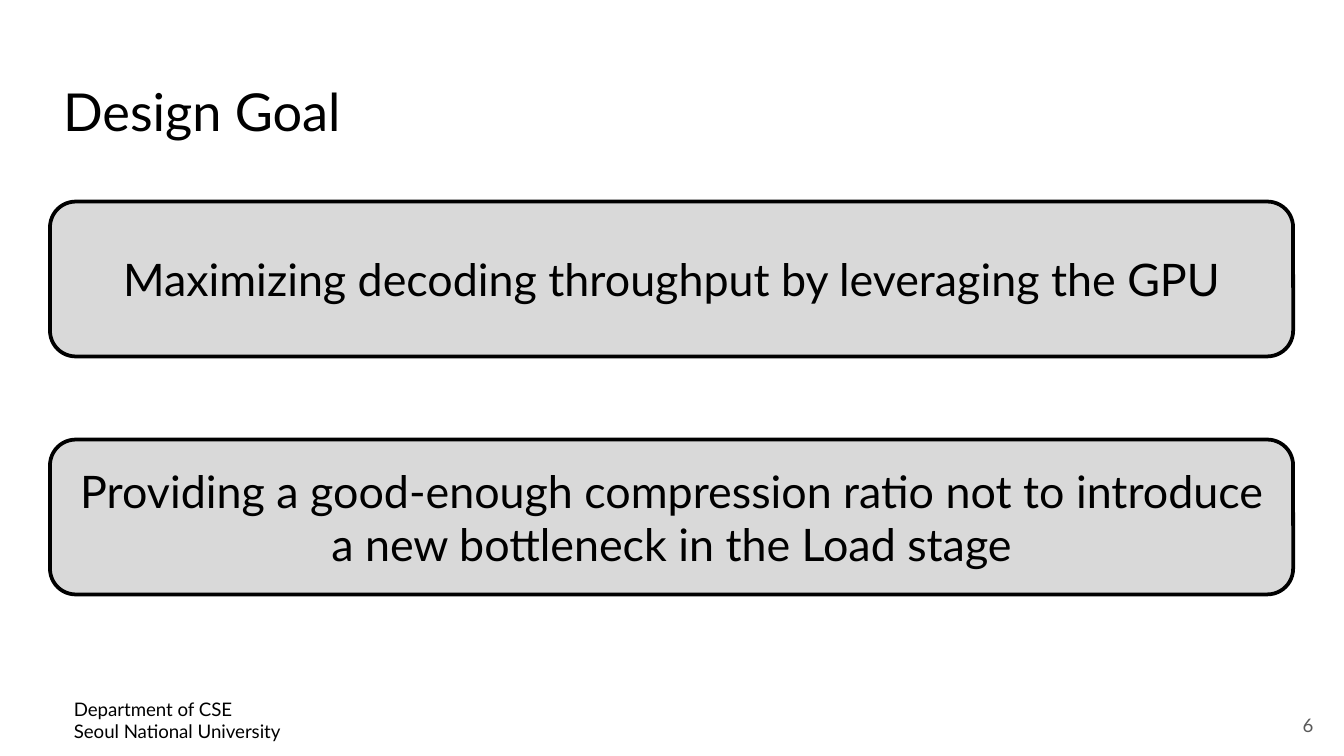
from pptx import Presentation
from pptx.dml.color import RGBColor
from pptx.enum.shapes import MSO_SHAPE
from pptx.enum.text import MSO_ANCHOR, PP_ALIGN
from pptx.util import Pt

BLACK = RGBColor(0x00, 0x00, 0x00)
DARK_GRAY = RGBColor(0x59, 0x59, 0x59)
LIGHT_GRAY = RGBColor(0xD9, 0xD9, 0xD9)

MARGIN = 26.75
CONTENT_WIDTH = 666
GOAL_TOP = 108
GOAL_HEIGHT = 83
GOAL_STEP = 127.5

GOALS = [
    "Maximizing decoding throughput by leveraging the GPU",
    "Providing a good-enough compression ratio not to introduce "
    "a new bottleneck in the Load stage",
]


class SlideBuilder:
    """Holds the text style and the slide being filled."""

    font_name = "Lato"

    def __init__(self, slide):
        self.slide = slide

    def fill_text(self, frame, lines, size, color, align, anchor, inset):
        """Fill a text frame with one paragraph per line."""
        frame.word_wrap = True
        frame.vertical_anchor = anchor
        frame.margin_left = frame.margin_right = Pt(7.2)
        frame.margin_top = frame.margin_bottom = Pt(inset)
        for index, line in enumerate(lines):
            paragraph = frame.add_paragraph() if index else frame.paragraphs[0]
            paragraph.alignment = align
            run = paragraph.add_run()
            run.text = line
            run.font.name = self.font_name
            run.font.size = Pt(size)
            run.font.color.rgb = color

    def text(self, left, top, width, height, lines, size, color=BLACK,
             align=PP_ALIGN.LEFT, anchor=MSO_ANCHOR.MIDDLE, inset=7.2):
        box = self.slide.shapes.add_textbox(
            Pt(left), Pt(top), Pt(width), Pt(height))
        self.fill_text(box.text_frame, lines, size, color, align, anchor,
                       inset)

    def goal(self, top, statement):
        panel = self.slide.shapes.add_shape(
            MSO_SHAPE.ROUNDED_RECTANGLE,
            Pt(MARGIN), Pt(top), Pt(CONTENT_WIDTH), Pt(GOAL_HEIGHT))
        panel.shadow.inherit = False
        panel.fill.solid()
        panel.fill.fore_color.rgb = LIGHT_GRAY
        panel.line.color.rgb = BLACK
        panel.line.width = Pt(2)
        self.fill_text(panel.text_frame, [statement], 24, BLACK,
                       PP_ALIGN.CENTER, MSO_ANCHOR.MIDDLE, 3.6)


def main():
    presentation = Presentation()
    presentation.slide_width = Pt(720)
    presentation.slide_height = Pt(405)
    blank = presentation.slide_layouts[6]
    builder = SlideBuilder(presentation.slides.add_slide(blank))

    builder.text(32.5, 366.5, 324.75, 39.5,
                 ["Department of CSE", "Seoul National University"], 10,
                 anchor=MSO_ANCHOR.TOP)
    builder.text(MARGIN, 38.25, CONTENT_WIDTH, 42.5, ["Design Goal"], 28,
                 inset=3.6)
    builder.text(667.5, 373, 43.25, 31, ["6"], 10, DARK_GRAY, PP_ALIGN.RIGHT)
    for index, statement in enumerate(GOALS):
        builder.goal(GOAL_TOP + index * GOAL_STEP, statement)

    presentation.save("out.pptx")


if __name__ == "__main__":
    main()
